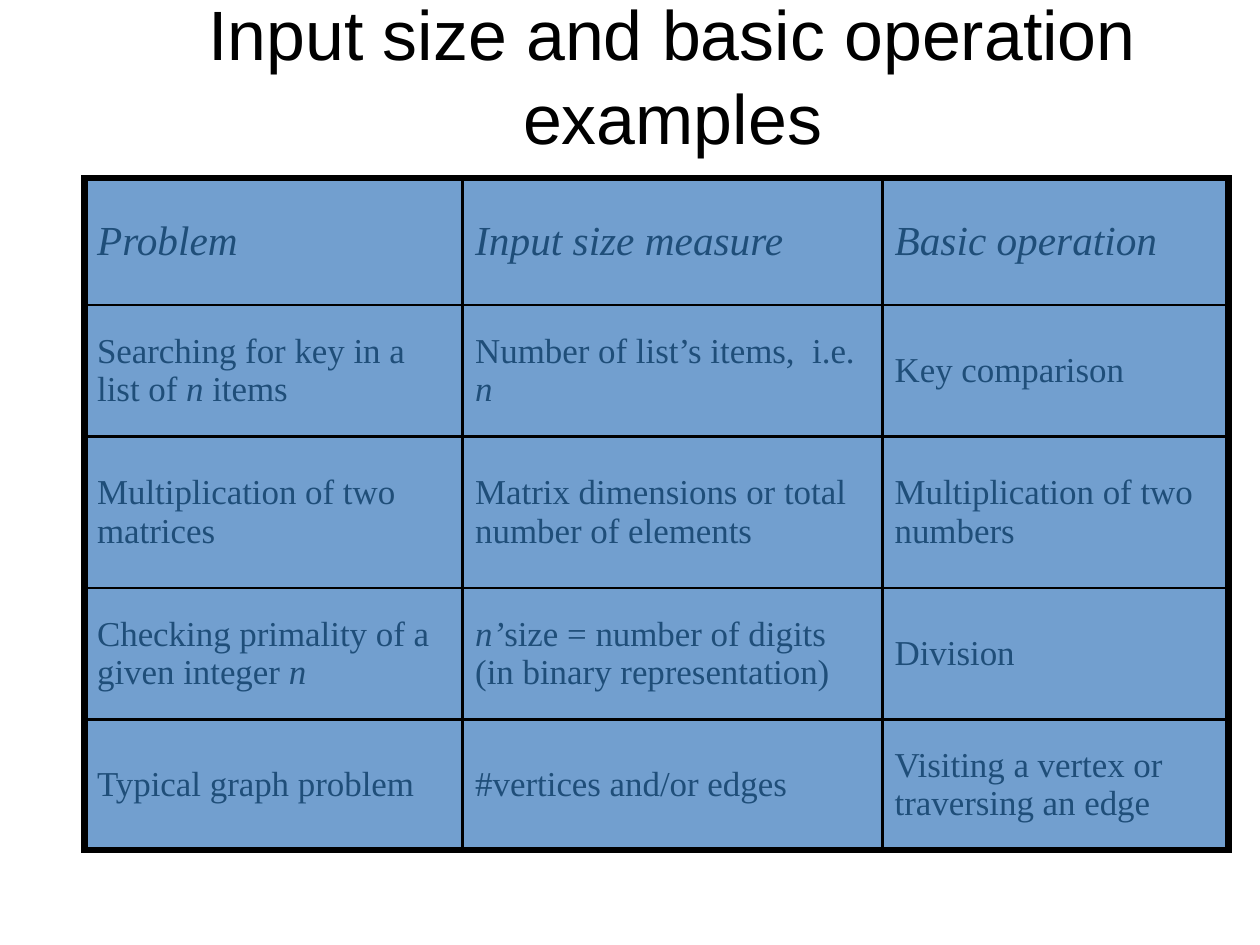
import dataclasses
import pptx
import pptx.dml.color
import pptx.enum.text
import pptx.oxml
import pptx.oxml.ns
import pptx.util

Pt = pptx.util.Pt
Anchor = pptx.enum.text.MSO_ANCHOR


@dataclasses.dataclass(frozen=True)
class Theme:
    ink: str = "000000"
    text: str = "1F4E79"
    fill: str = "729FCF"
    sans: str = "Arial"
    serif: str = "Times New Roman"
    title: float = 44
    head: float = 26
    body: float = 22
    thick: float = 4.48
    thin: float = 1.98


THEME = Theme()
COLS = [238.2, 264.2, 218.2]
ROWS = [79.9, 82.6, 95.7, 82.6, 82.6]
CELLS = [
    ["*Problem*", "*Input size measure*", "*Basic operation*"],
    ["Searching for key in a list of *n* items",
     "Number of list’s items,  i.e. *n*", "Key comparison"],
    ["Multiplication of two matrices",
     "Matrix dimensions or total number of elements",
     "Multiplication of two numbers"],
    ["Checking primality of a given integer *n*",
     "*n’*size = number of digits (in binary representation)", "Division"],
    ["Typical graph problem", "#vertices and/or edges",
     "Visiting a vertex or traversing an edge"],
]


def color(code):
    return pptx.dml.color.RGBColor.from_string(code)


def style(para, name, size, code):
    para.font.name = name
    para.font.size = Pt(size)
    para.font.color.rgb = color(code)


def add_title(slide, words):
    title = slide.shapes.title
    title.left, title.top = Pt(53.3), Pt(17.3)
    title.width, title.height = Pt(740.9), Pt(59.8)
    frame = title.text_frame
    frame.margin_left = frame.margin_right = 0
    frame.margin_top = frame.margin_bottom = 0
    frame.vertical_anchor = Anchor.MIDDLE
    frame.auto_size = pptx.enum.text.MSO_AUTO_SIZE.NONE
    frame.word_wrap = True
    frame.text = words
    para = frame.paragraphs[0]
    para.alignment = pptx.enum.text.PP_ALIGN.CENTER
    style(para, THEME.sans, THEME.title, THEME.ink)


def add_edges(cell, outer):
    props = cell._tc.get_or_add_tcPr()
    for place, side in enumerate("LRTB"):
        width = Pt(THEME.thick if outer[side] else THEME.thin)
        line = pptx.oxml.parse_xml(
            f'<a:ln{side} {pptx.oxml.ns.nsdecls("a")} w="{width}">'
            f'<a:solidFill><a:srgbClr val="{THEME.ink}"/></a:solidFill>'
            f'</a:ln{side}>')
        props.insert(place, line)


def fill_cell(cell, words, size, gap):
    cell.fill.solid()
    cell.fill.fore_color.rgb = color(THEME.fill)
    cell.vertical_anchor = Anchor.MIDDLE
    cell.margin_left = cell.margin_right = Pt(7.9)
    cell.margin_top = cell.margin_bottom = Pt(3.6)
    para = cell.text_frame.paragraphs[0]
    para.space_before = Pt(gap)
    style(para, THEME.serif, size, THEME.text)
    for index, part in enumerate(words.split("*")):
        if part:
            run = para.add_run()
            run.text = part
            run.font.italic = index % 2 == 1


def add_grid(slide):
    frame = slide.shapes.add_table(
        len(ROWS), len(COLS), Pt(53.3), Pt(112.3),
        Pt(sum(COLS)), Pt(sum(ROWS)))
    table = frame.table
    table.first_row = table.horz_banding = False
    for col, width in zip(table.columns, COLS):
        col.width = Pt(width)
    for r, height in enumerate(ROWS):
        table.rows[r].height = Pt(height)
        size, gap = (THEME.body, 5) if r else (THEME.head, 6)
        for c, words in enumerate(CELLS[r]):
            cell = table.cell(r, c)
            fill_cell(cell, words, size, gap)
            add_edges(cell, {"L": c == 0, "R": c == len(COLS) - 1,
                             "T": r == 0, "B": r == len(ROWS) - 1})


def main():
    deck = pptx.Presentation()
    deck.slide_width, deck.slide_height = Pt(793.7), Pt(595.28)
    slide = deck.slides.add_slide(deck.slide_layouts[5])
    add_title(slide, "Input size and basic operation examples")
    add_grid(slide)
    deck.save("out.pptx")


if __name__ == "__main__":
    main()
